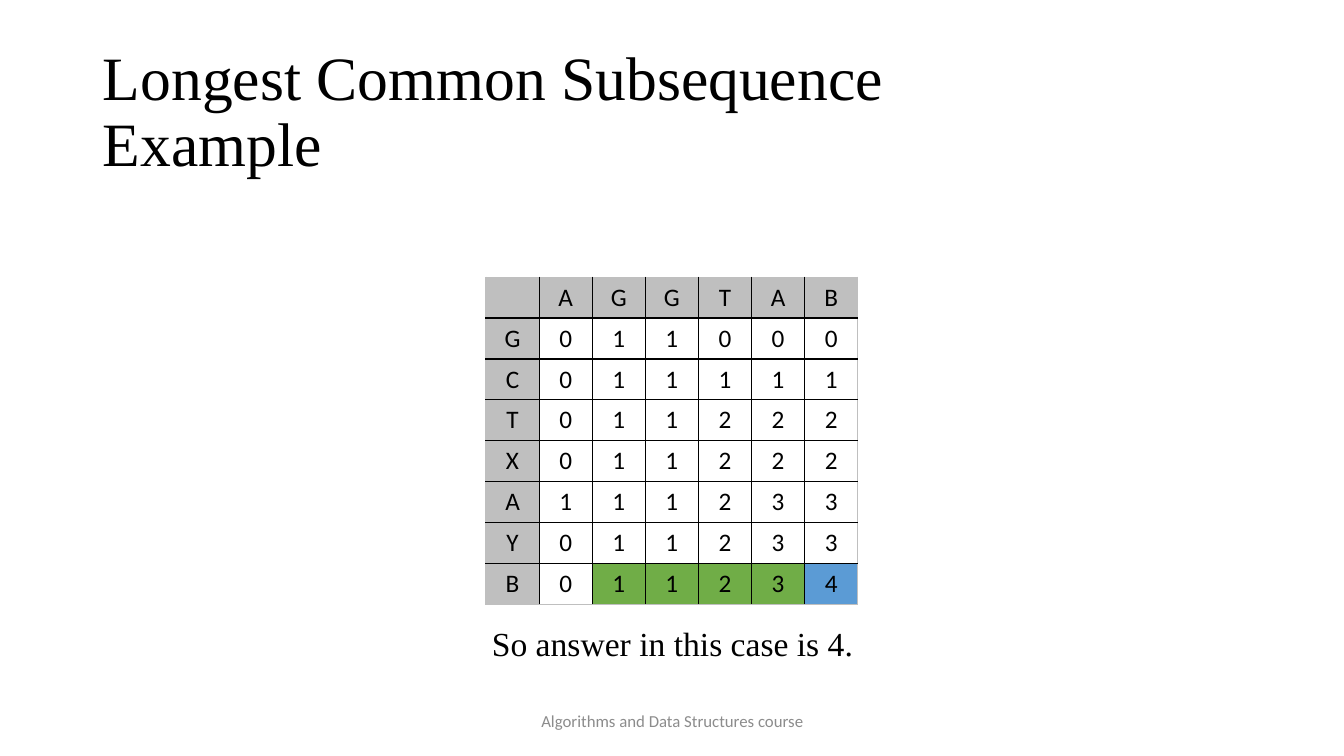
from dataclasses import dataclass

from lxml import etree
from pptx import Presentation
from pptx.dml.color import RGBColor
from pptx.enum.text import MSO_ANCHOR, MSO_AUTO_SIZE, PP_ALIGN
from pptx.oxml.ns import qn
from pptx.util import Inches, Pt

LEFT, CENTER = PP_ALIGN.LEFT, PP_ALIGN.CENTER
TOP, MIDDLE = MSO_ANCHOR.TOP, MSO_ANCHOR.MIDDLE
NO_FIT = MSO_AUTO_SIZE.NONE


@dataclass(frozen=True)
class Theme:
    serif: str = "Times New Roman"
    sans: str = "Calibri"
    text: str = "000000"
    muted: str = "8C8C8C"
    paper: str = "FFFFFF"
    header: str = "BFBFBF"
    path_row: str = "70AD47"
    answer: str = "5B9BD5"
    title_size: int = 44
    body_size: int = 24
    cell_size: int = 18
    footer_size: int = 12
    border_width: int = 1


@dataclass(frozen=True)
class Frame:
    left: float
    top: float
    width: float
    height: float


THEME = Theme()
TITLE_FRAME = Frame(0.92, 0.4, 11.5, 1.45)
ANSWER_FRAME = Frame(0.92, 6.17, 11.5, 0.59)
FOOTER_FRAME = Frame(4.42, 6.95, 4.5, 0.4)
TABLE_FRAME = Frame(4.82, 2.75, 3.69, 3.24)

COLUMN_LETTERS = "AGGTAB"
LENGTHS = (
    ("G", "011000"),
    ("C", "011111"),
    ("T", "011222"),
    ("X", "011222"),
    ("A", "111233"),
    ("Y", "011233"),
    ("B", "011234"),
)


def place(shape, frame: Frame) -> None:
    shape.left, shape.top = Inches(frame.left), Inches(frame.top)
    shape.width, shape.height = Inches(frame.width), Inches(frame.height)


def write(text_frame, text: str, *, font: str, size: int, color: str = THEME.text,
          align=CENTER, anchor=MIDDLE, line_spacing: float = 1.0) -> None:
    """Fill a text frame with one unbulleted paragraph; newlines become line breaks."""
    text_frame.word_wrap = True
    text_frame.vertical_anchor = anchor
    para = text_frame.paragraphs[0]
    properties = para._p.get_or_add_pPr()
    properties.set("marL", "0")
    properties.set("indent", "0")
    etree.SubElement(properties, qn("a:buNone"))
    para.alignment = align
    para.line_spacing = line_spacing
    para.space_before = Pt(0)
    for number, line in enumerate(text.split("\n")):
        if number:
            para.add_line_break()
        span = para.add_run()
        span.text = line
        span.font.name = font
        span.font.size = Pt(size)
        span.font.bold = False
        span.font.color.rgb = RGBColor.from_string(color)


def set_borders(cell, colors: dict[str, str]) -> None:
    """Draw cell edges, given as lnL, lnR, lnT and lnB in that order, before the fill."""
    properties = cell._tc.get_or_add_tcPr()
    for edge, color in colors.items():
        line = etree.SubElement(properties, qn(f"a:{edge}"), w=str(Pt(THEME.border_width)))
        fill = etree.SubElement(line, qn("a:solidFill"))
        etree.SubElement(fill, qn("a:srgbClr"), val=color)


def cell_fill(row: int, column: int, last_row: int, last_column: int) -> str:
    if row == 0 or column == 0:
        return THEME.header
    if row == last_row and column == last_column:
        return THEME.answer
    if row == last_row and column > 1:
        return THEME.path_row
    return THEME.paper


def add_length_table(slide) -> None:
    rows = [["", *COLUMN_LETTERS]] + [[letter, *values] for letter, values in LENGTHS]
    last_row, last_column = len(rows) - 1, len(rows[0]) - 1
    frame = TABLE_FRAME
    table = slide.shapes.add_table(
        len(rows), len(rows[0]), Inches(frame.left), Inches(frame.top),
        Inches(frame.width), Inches(frame.height)).table
    table.first_row = table.horz_banding = False
    for row, values in enumerate(rows):
        for column, value in enumerate(values):
            cell = table.cell(row, column)
            outer = {"lnL": column == 0, "lnR": column == last_column,
                     "lnT": row == 0, "lnB": row == last_row}
            set_borders(cell, {edge: THEME.header if is_outer else THEME.text
                               for edge, is_outer in outer.items()})
            cell.fill.solid()
            cell.fill.fore_color.rgb = RGBColor.from_string(
                cell_fill(row, column, last_row, last_column))
            cell.vertical_anchor = MIDDLE
            if value:
                write(cell.text_frame, value, font=THEME.sans, size=THEME.cell_size)


def main() -> None:
    deck = Presentation()
    deck.slide_width, deck.slide_height = Inches(13.33), Inches(7.5)
    page = deck.slides.add_slide(deck.slide_layouts[1])

    title, answer = page.placeholders
    for shape, frame in ((title, TITLE_FRAME), (answer, ANSWER_FRAME)):
        place(shape, frame)
        shape.text_frame.auto_size = NO_FIT
    write(title.text_frame, "Longest Common Subsequence\nExample", font=THEME.serif,
          size=THEME.title_size, align=LEFT, line_spacing=0.9)
    write(answer.text_frame, "So answer in this case is 4.", font=THEME.serif,
          size=THEME.body_size, anchor=TOP, line_spacing=0.9)

    add_length_table(page)

    footer = page.shapes.add_textbox(0, 0, 0, 0)
    place(footer, FOOTER_FRAME)
    write(footer.text_frame, "Algorithms and Data Structures course", font=THEME.sans,
          size=THEME.footer_size, color=THEME.muted)
    deck.save("out.pptx")


if __name__ == "__main__":
    main()
